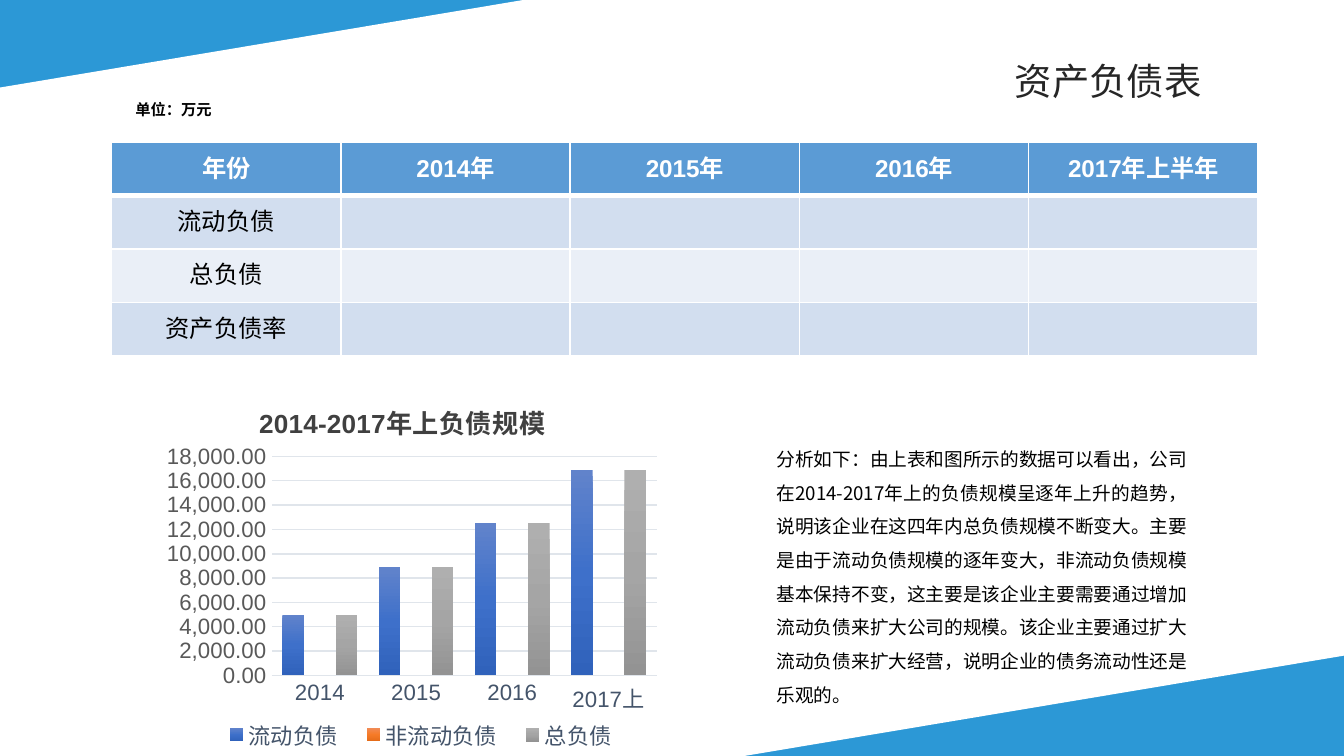
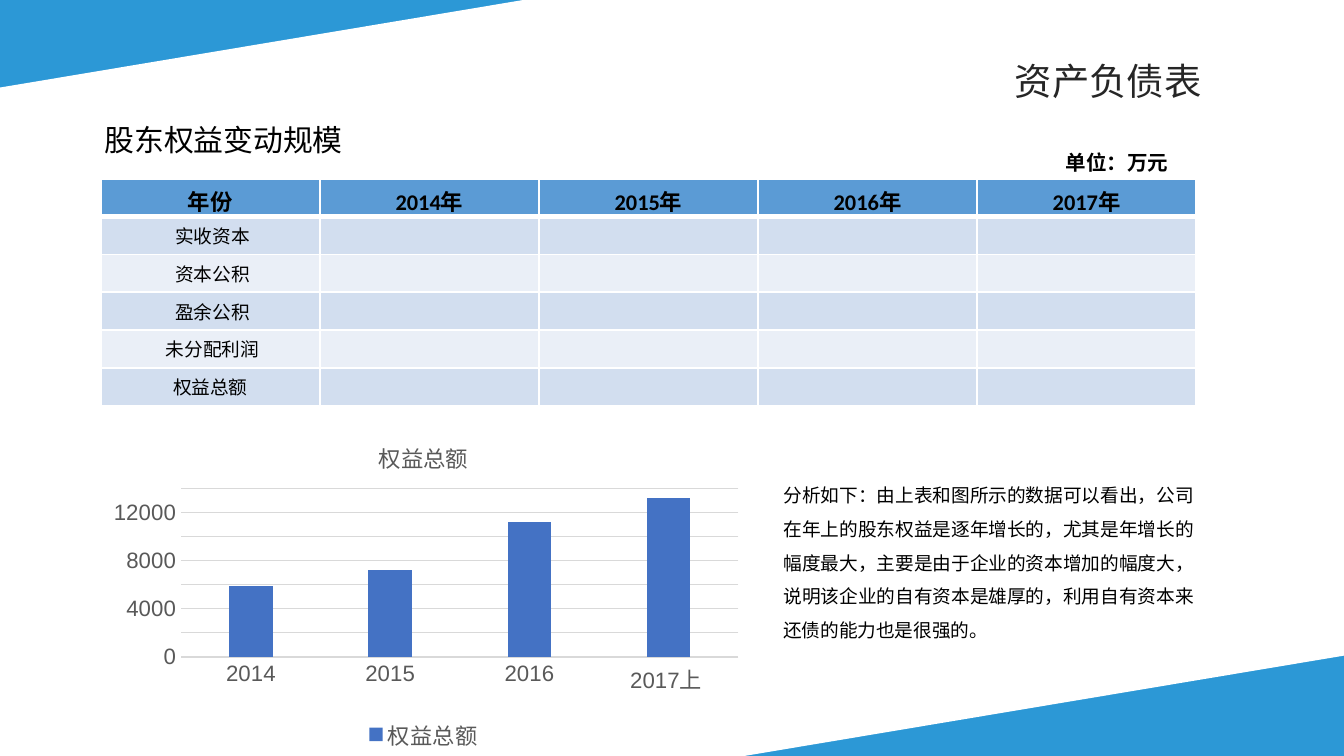
from lxml import etree
from pptx import Presentation
from pptx.chart.data import CategoryChartData
from pptx.dml.color import RGBColor
from pptx.enum.chart import XL_CHART_TYPE, XL_LEGEND_POSITION, XL_TICK_MARK
from pptx.enum.shapes import MSO_SHAPE
from pptx.enum.text import MSO_ANCHOR, MSO_AUTO_SIZE, PP_ALIGN
from pptx.oxml.ns import qn
from pptx.util import Inches, Pt

BLUE = RGBColor(0x2C, 0x98, 0xD6)
WHITE = RGBColor(0xFF, 0xFF, 0xFF)
BLACK = RGBColor(0x00, 0x00, 0x00)
TITLE_GREY = RGBColor(0x26, 0x26, 0x26)
HEADER_BLUE = RGBColor(0x5B, 0x9B, 0xD5)
ROW_DARK = RGBColor(0xD2, 0xDE, 0xEF)
ROW_LIGHT = RGBColor(0xEA, 0xEF, 0xF7)
CHART_TITLE_GREY = RGBColor(0x40, 0x40, 0x40)
LABEL_GREY = RGBColor(0x59, 0x59, 0x59)
LABEL_SLATE = RGBColor(0x44, 0x54, 0x6A)
GRID_GREY = RGBColor(0xD9, 0xD9, 0xD9)
GRID_SLATE = RGBColor(0xE0, 0xE5, 0xEB)
BAR_BLUE = RGBColor(0x44, 0x72, 0xC4)
GRADIENTS = [
    ("6183CB", "3E70CA", "3062BB"),
    ("F18C57", "F67B28", "E56C19"),
    ("AFAFAF", "A5A5A5", "939393"),
]
CJK_FONT = "Noto Sans CJK SC"
LABEL_SIZE = 11.9


def style_font(font, size, color, name="Arial", bold=False):
    font.size = Pt(size)
    font.name = name
    font.bold = bold
    font.color.rgb = color


def add_base_slide(presentation, title_text):
    """Title-only slide: blue corners left by a tilted white band, title at right."""
    slide = presentation.slides.add_slide(presentation.slide_layouts[5])
    slide.background.fill.solid()
    slide.background.fill.fore_color.rgb = BLUE

    band = slide.shapes.add_shape(MSO_SHAPE.RECTANGLE, Inches(-0.99), Inches(-0.1),
                                  Inches(11.45), Inches(5.82))
    band.rotation = 350.5
    band.shadow.inherit = False
    band.fill.solid()
    band.fill.fore_color.rgb = WHITE
    band.line.fill.background()
    slide.shapes._spTree.insert(2, band._element)

    title = slide.shapes.title
    title.left, title.top = Inches(7.45), Inches(0.38)
    title.width, title.height = Inches(1.6), Inches(0.44)
    frame = title.text_frame
    frame.text = title_text
    frame.word_wrap = False
    frame.auto_size = MSO_AUTO_SIZE.NONE
    frame.vertical_anchor = MSO_ANCHOR.TOP
    paragraph = frame.paragraphs[0]
    paragraph.alignment = PP_ALIGN.LEFT
    style_font(paragraph.font, 20, TITLE_GREY)
    return slide


def add_text(slide, text, left, top, width, height, size, name=CJK_FONT, bold=False):
    box = slide.shapes.add_textbox(Inches(left), Inches(top), Inches(width), Inches(height))
    box.text_frame.word_wrap = True
    paragraph = box.text_frame.paragraphs[0]
    paragraph.text = text
    style_font(paragraph.font, size, BLACK, name, bold)
    return paragraph


def add_analysis(slide, text, left, top, height):
    paragraph = add_text(slide, text, left, top, 3.25, height, 10)
    paragraph.alignment = PP_ALIGN.JUSTIFY
    paragraph.line_spacing = 1.5


def set_borders(cell, row_index):
    """White cell borders, thicker between the header and the body."""
    widths = {
        "lnL": 1,
        "lnR": 1,
        "lnT": 3 if row_index == 1 else 1,
        "lnB": 3 if row_index == 0 else 1,
    }
    properties = cell._tc.get_or_add_tcPr()
    for position, (tag, width) in enumerate(widths.items()):
        line = etree.Element(qn(f"a:{tag}"), w=str(Pt(width)))
        fill = etree.SubElement(line, qn("a:solidFill"))
        etree.SubElement(fill, qn("a:srgbClr"), val=str(WHITE))
        properties.insert(position, line)


def add_table(slide, header, row_labels, left, top, width, height,
              header_size, body_size, header_color, font_name, margins):
    rows = [header] + [[label] + [""] * (len(header) - 1) for label in row_labels]
    table = slide.shapes.add_table(len(rows), len(header), Inches(left), Inches(top),
                                   Inches(width), Inches(height)).table
    for column in table.columns:
        column.width = Inches(width / len(header))
    for row_index, texts in enumerate(rows):
        table.rows[row_index].height = Inches(height / len(rows))
        is_header = row_index == 0
        size = header_size if is_header else body_size
        for column_index, text in enumerate(texts):
            cell = table.cell(row_index, column_index)
            cell.margin_top, cell.margin_bottom = map(Inches, margins)
            cell.fill.solid()
            cell.fill.fore_color.rgb = (HEADER_BLUE if is_header
                                        else ROW_DARK if row_index % 2 else ROW_LIGHT)
            set_borders(cell, row_index)
            paragraph = cell.text_frame.paragraphs[0]
            paragraph.alignment = PP_ALIGN.CENTER
            style_font(paragraph.font, size, header_color if is_header else BLACK,
                       font_name, is_header)
            if text:
                paragraph.text = text
            else:
                # An empty cell keeps its row low through its end-of-paragraph size
                etree.SubElement(paragraph._p, qn("a:endParaRPr"), sz=str(size * 100))


def set_layout(element, index, **values):
    """Place a chart part by fractions of the chart area."""
    for old_layout in element.findall(qn("c:layout")):
        element.remove(old_layout)
    layout = etree.Element(qn("c:layout"))
    manual = etree.SubElement(layout, qn("c:manualLayout"))
    if element.tag == qn("c:plotArea"):
        etree.SubElement(manual, qn("c:layoutTarget"), val="inner")
    for key in ("x", "y"):
        etree.SubElement(manual, qn(f"c:{key}Mode"), val="edge")
    for key, value in values.items():
        etree.SubElement(manual, qn(f"c:{key}"), val=str(value))
    element.insert(index, layout)


def fill_gradient(series, colors):
    properties = series.format.fill._xPr
    gradient = etree.Element(qn("a:gradFill"), rotWithShape="1")
    stops = etree.SubElement(gradient, qn("a:gsLst"))
    for position, color in zip((0, 50000, 100000), colors):
        stop = etree.SubElement(stops, qn("a:gs"), pos=str(position))
        etree.SubElement(stop, qn("a:srgbClr"), val=color)
    etree.SubElement(gradient, qn("a:lin"), ang="5400000", scaled="0")
    properties.insert(0, gradient)


def add_column_chart(slide, title, categories, series_values, left, top, width, height,
                     maximum, number_format, gap, overlap, title_style,
                     category_color, grid_color):
    data = CategoryChartData()
    data.categories = categories
    for name, values in series_values.items():
        data.add_series(name, values)
    chart = slide.shapes.add_chart(
        XL_CHART_TYPE.COLUMN_CLUSTERED, Inches(left), Inches(top),
        Inches(width), Inches(height), data).chart
    style_font(chart.font, 10, BLACK)

    chart.has_title = True
    chart.chart_title.include_in_layout = False
    frame = chart.chart_title.text_frame
    frame.text = title
    style_font(frame.paragraphs[0].font, **title_style)

    chart.has_legend = True
    chart.legend.position = XL_LEGEND_POSITION.BOTTOM
    chart.legend.include_in_layout = False
    style_font(chart.legend.font, LABEL_SIZE, category_color)

    category_axis, value_axis = chart.category_axis, chart.value_axis
    for axis, color in ((category_axis, category_color), (value_axis, LABEL_GREY)):
        axis.major_tick_mark = XL_TICK_MARK.NONE
        axis.minor_tick_mark = XL_TICK_MARK.NONE
        style_font(axis.tick_labels.font, LABEL_SIZE, color)
    value_axis.minimum_scale = 0
    value_axis.maximum_scale = maximum
    value_axis.major_unit = 2000
    value_axis.tick_labels.number_format = number_format
    value_axis.tick_labels.number_format_is_linked = False
    value_axis.format.line.fill.background()
    for line in (category_axis.format.line, value_axis.major_gridlines.format.line):
        line.width = Pt(0.75)
        line.color.rgb = grid_color

    plot = chart.plots[0]
    plot.vary_by_categories = False
    plot.gap_width = gap
    plot.overlap = overlap
    for series in plot.series:
        series.format.line.fill.background()
    return chart


def build_liabilities_slide(presentation):
    slide = add_base_slide(presentation, "资产负债表")
    add_text(slide, "单位：万元", 0.91, 0.7, 1.06, 0.24, 8.2, "Arial", True)
    add_analysis(
        slide,
        "分析如下：由上表和图所示的数据可以看出，公司在2014-2017年上的负债规模呈逐年上升的趋势，"
        "说明该企业在这四年内总负债规模不断变大。主要是由于流动负债规模的逐年变大，"
        "非流动负债规模基本保持不变，这主要是该企业主要需要通过增加流动负债来扩大公司的规模。"
        "该企业主要通过扩大流动负债来扩大经营，说明企业的债务流动性还是乐观的。",
        5.68, 3.2, 2.09)
    add_table(slide, ["年份", "2014年", "2015年", "2016年", "2017年上半年"],
              ["流动负债", "总负债", "资产负债率"],
              left=0.83, top=1.06, width=8.53, height=1.59,
              header_size=13, body_size=13, header_color=WHITE,
              font_name="Arial", margins=(0.05, 0.05))

    liabilities = [5000, 8900, 12500, 16900]
    chart = add_column_chart(
        slide, "2014-2017年上负债规模", ["2014", "2015", "2016", "2017上"],
        {"流动负债 ": liabilities, "非流动负债 ": [0] * 4, "总负债 ": liabilities},
        0.72, 2.68, 4.34, 3.26, maximum=18000, number_format="#,##0.00",
        gap=100, overlap=-24,
        title_style={"size": 14, "color": CHART_TITLE_GREY, "bold": True},
        category_color=LABEL_SLATE, grid_color=GRID_SLATE)
    for series, colors in zip(chart.plots[0].series, GRADIENTS):
        fill_gradient(series, colors)
    set_layout(chart.chart_title._element, 1, x=0.27, y=0.08)
    set_layout(chart.legend._element, 1, x=0.2, y=0.81, w=0.72, h=0.09)
    plot_area = chart._chartSpace.chart.plotArea
    set_layout(plot_area, 0, x=0.3, y=0.22, w=0.66, h=0.5)


def build_equity_slide(presentation):
    slide = add_base_slide(presentation, "资产负债表")
    add_analysis(
        slide,
        "分析如下：由上表和图所示的数据可以看出，公司在年上的股东权益是逐年增长的，"
        "尤其是年增长的幅度最大，主要是由于企业的资本增加的幅度大，"
        "说明该企业的自有资本是雄厚的，利用自有资本来还债的能力也是很强的。",
        5.73, 3.47, 1.33)
    add_table(slide, ["年份", "2014年", "2015年", "2016年", "2017年"],
              [" 实收资本", " 资本公积", " 盈余公积", " 未分配利润", "权益总额"],
              left=0.75, top=1.33, width=8.15, height=1.69,
              header_size=12, body_size=10, header_color=BLACK,
              font_name="Calibri", margins=(0.04, 0))
    add_text(slide, "股东权益变动规模", 0.68, 0.86, 4.49, 0.37, 16)
    add_text(slide, "单位：万元", 7.83, 1.07, 1.42, 0.29, 11, "Calibri", True)

    chart = add_column_chart(
        slide, "权益总额 ", ["2014", "2015", "2016", "2017上 "],
        {"权益总额 ": [5900, 7200, 11200, 13200]},
        0.75, 3.13, 4.84, 2.5, maximum=14000, number_format="General",
        gap=219, overlap=-27,
        title_style={"size": 12, "color": LABEL_GREY},
        category_color=LABEL_GREY, grid_color=GRID_GREY)
    fill = chart.plots[0].series[0].format.fill
    fill.solid()
    fill.fore_color.rgb = BAR_BLUE


def main():
    presentation = Presentation()
    presentation.slide_width = Inches(10)
    presentation.slide_height = presentation.slide_width * 9 // 16
    build_liabilities_slide(presentation)
    build_equity_slide(presentation)
    presentation.save("out.pptx")


if __name__ == "__main__":
    main()
